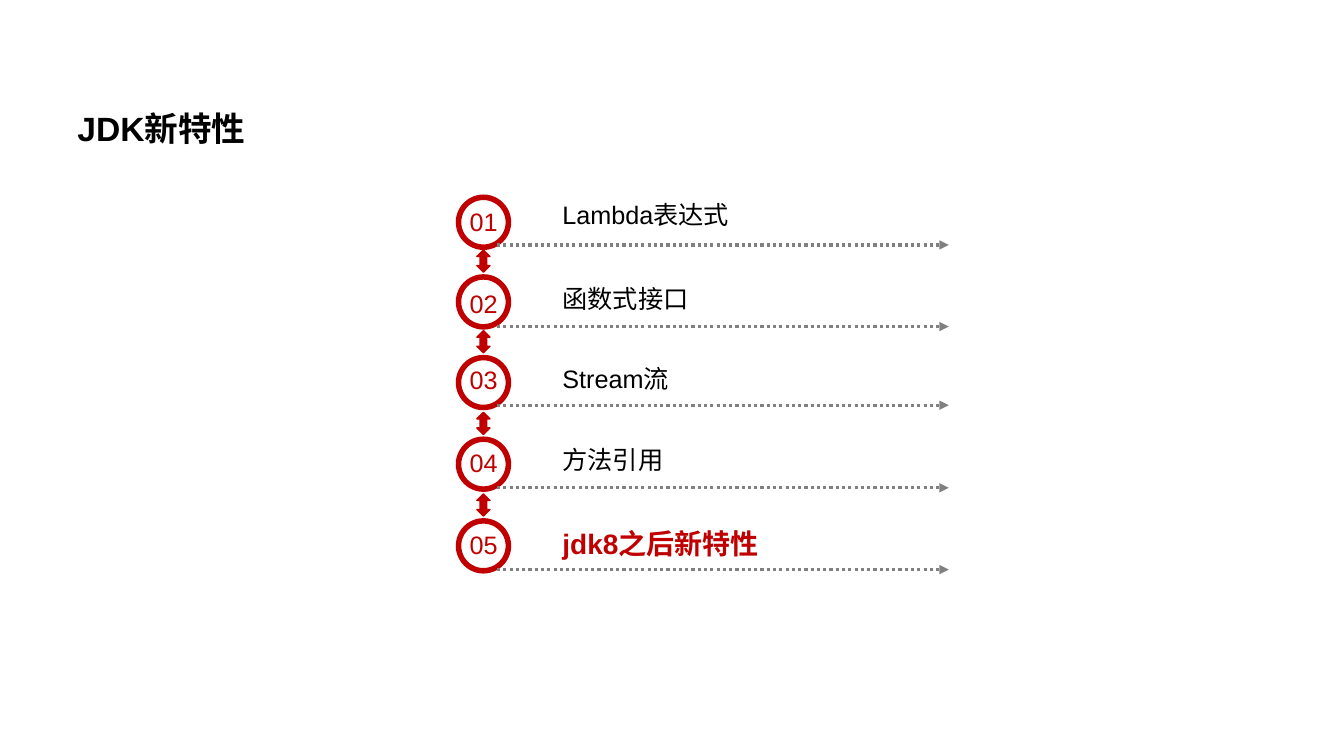
import pptx
import pptx.dml.color
import pptx.enum.dml
import pptx.enum.shapes
import pptx.oxml.ns
import pptx.util
from lxml import etree
from pptx.util import Inches

RED, BLACK, GRAY = "C00000", "000000", "808080"
RING_SIZE = 0.55
ARROW_GAP = 0.24


def color(value):
    return pptx.dml.color.RGBColor.from_string(value)


class AgendaSlide:
    """Holds the style and the slide, and draws each kind of element."""

    font = "Arial"

    def __init__(self, presentation):
        self.slide = presentation.slides.add_slide(presentation.slide_layouts[6])

    def text(self, content, left, top, width, height, size=18, fill=BLACK,
             bold=False, wrap=True, spacing=1.0):
        box = self.slide.shapes.add_textbox(
            Inches(left), Inches(top), Inches(width), Inches(height))
        box.text_frame.word_wrap = wrap
        paragraph = box.text_frame.paragraphs[0]
        paragraph.line_spacing = spacing
        run = paragraph.add_run()
        run.text = content
        run.font.name = self.font
        run.font.size = pptx.util.Pt(size)
        run.font.bold = bold
        run.font.color.rgb = color(fill)

    def shape(self, kind, left, top, width, height):
        shape = self.slide.shapes.add_shape(
            kind, Inches(left), Inches(top), Inches(width), Inches(height))
        shape.shadow.inherit = False
        shape.fill.solid()
        shape.fill.fore_color.rgb = color(RED)
        return shape

    def ring(self, top):
        ring = self.shape(pptx.enum.shapes.MSO_SHAPE.DONUT, 4.52, top, RING_SIZE, RING_SIZE)
        ring.adjustments[0] = 0.1
        ring.line.fill.background()

    def double_arrow(self, top):
        arrow = self.shape(pptx.enum.shapes.MSO_SHAPE.UP_DOWN_ARROW, 4.73, top, 0.13, 0.22)
        arrow.line.color.rgb = color(RED)
        arrow.line.width = pptx.util.Pt(1)

    def dotted_arrow(self, top):
        connector = self.slide.shapes.add_connector(
            pptx.enum.shapes.MSO_CONNECTOR.STRAIGHT,
            Inches(4.93), Inches(top), Inches(9.41), Inches(top))
        connector.line.color.rgb = color(GRAY)
        connector.line.width = pptx.util.Pt(2.25)
        connector.line.dash_style = pptx.enum.dml.MSO_LINE.ROUND_DOT
        line = connector.line._get_or_add_ln()
        etree.SubElement(line, pptx.oxml.ns.qn("a:tailEnd"), type="triangle")
        etree.SubElement(connector._element.spPr, pptx.oxml.ns.qn("a:effectLst"))


def main():
    presentation = pptx.Presentation()
    presentation.slide_width = Inches(13.33)
    presentation.slide_height = Inches(7.5)
    agenda = AgendaSlide(presentation)
    agenda.text("JDK新特性", 0.67, 0.82, 11.74, 1.11, size=24, bold=True, spacing=1.5)

    topics = [
        ("Lambda表达式", 1.93, 2.0, 1.93, 2.43),
        ("函数式接口", 2.72, 2.81, 2.76, 3.24),
        ("Stream流", 3.52, 3.57, 3.56, 4.02),
        ("方法引用", 4.33, 4.39, 4.36, 4.84),
        ("jdk8之后新特性", 5.14, 5.2, 5.17, 5.65),
    ]
    for number, (topic, ring_top, number_top, topic_top, line_top) in enumerate(topics, 1):
        current = number == len(topics)
        agenda.ring(ring_top)
        agenda.text(f"{number:02}", 4.56, number_top, 0.48, 0.4, fill=RED, wrap=False)
        agenda.dotted_arrow(line_top)
        agenda.text(topic, 5.48, topic_top, 3.96, 0.44 if current else 0.4,
                    size=20 if current else 18, fill=RED if current else BLACK, bold=current)
        if number > 1:
            agenda.double_arrow(ring_top - ARROW_GAP)

    presentation.save("out.pptx")


if __name__ == "__main__":
    main()
